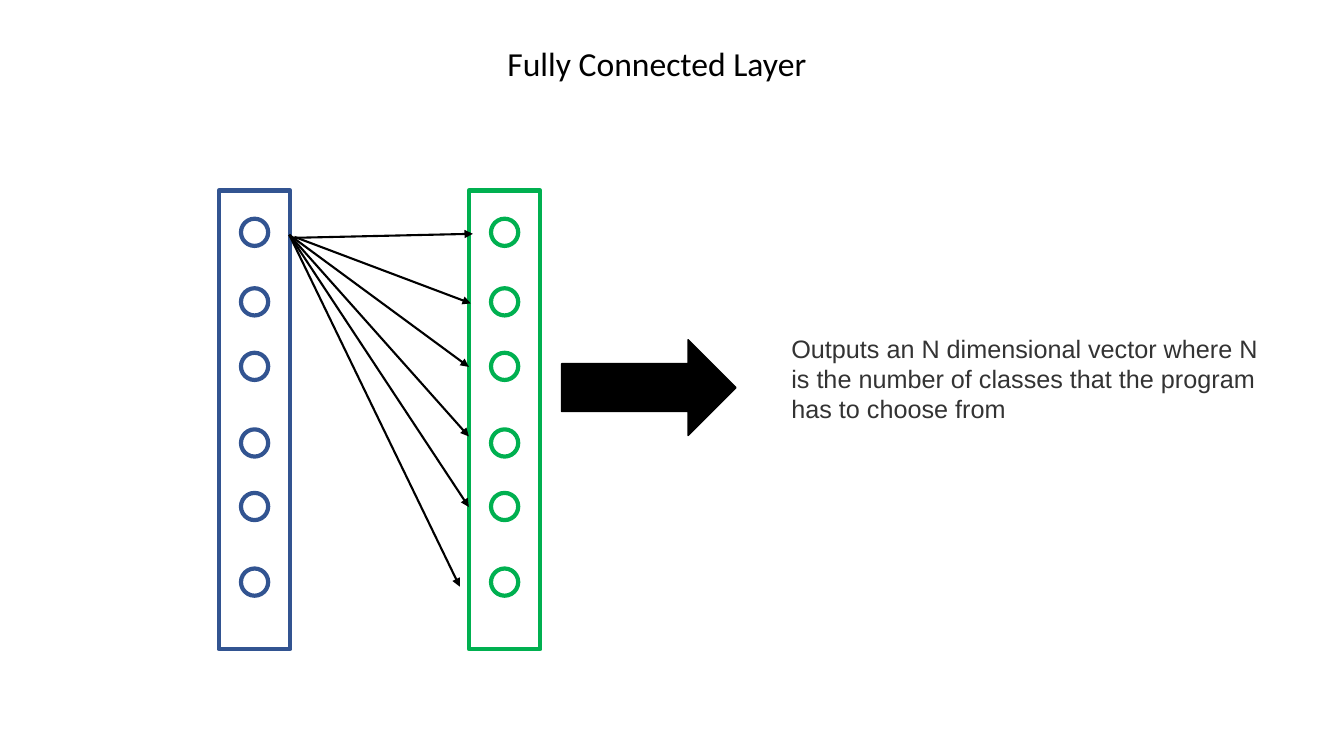
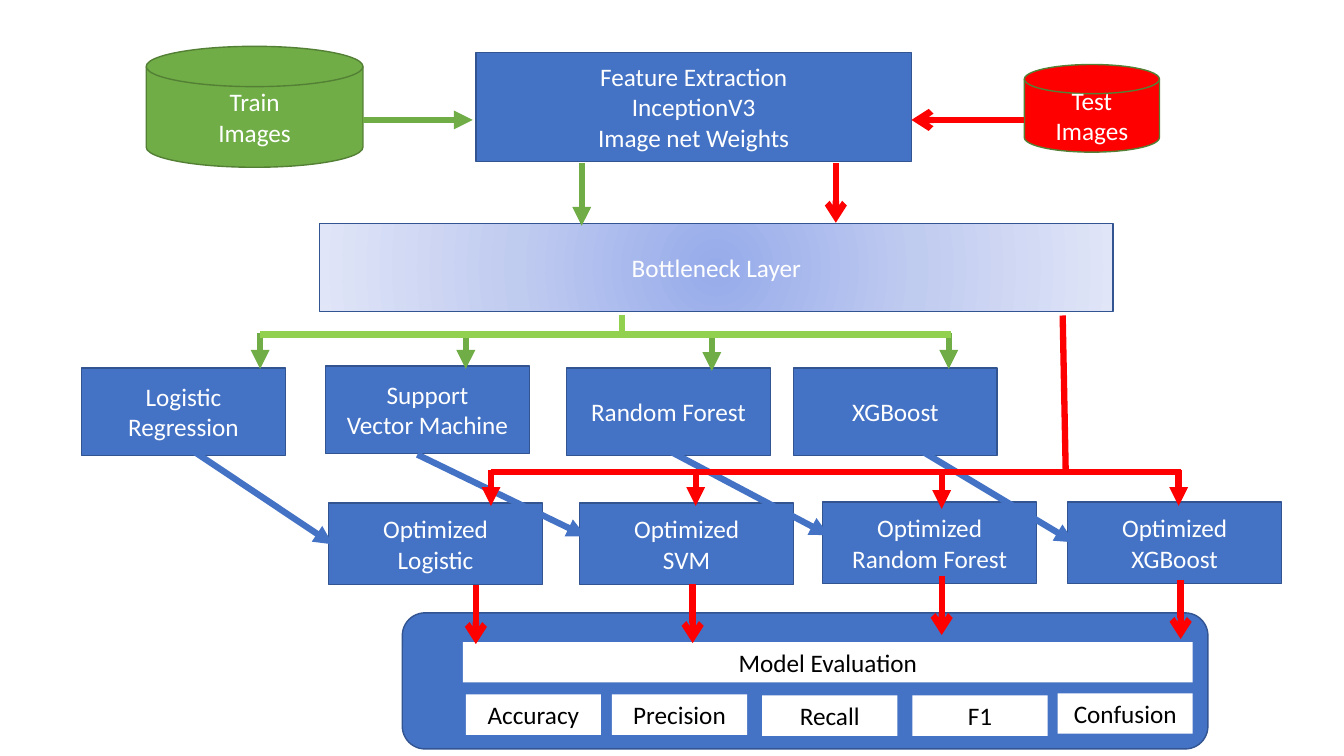
from lxml import etree
from pptx import Presentation
from pptx.dml.color import RGBColor
from pptx.enum.shapes import MSO_CONNECTOR, MSO_SHAPE
from pptx.enum.text import MSO_ANCHOR, PP_ALIGN
from pptx.oxml import parse_xml
from pptx.oxml.ns import nsdecls, qn
from pptx.util import Inches, Pt

BLACK = RGBColor(0x00, 0x00, 0x00)
WHITE = RGBColor(0xFF, 0xFF, 0xFF)
GRAY = RGBColor(0x33, 0x33, 0x33)
BLUE = RGBColor(0x44, 0x72, 0xC4)
DARK_BLUE = RGBColor(0x32, 0x54, 0x91)
GREEN = RGBColor(0x70, 0xAD, 0x47)
DARK_GREEN = RGBColor(0x53, 0x80, 0x35)
LIGHT_GREEN = RGBColor(0x92, 0xD0, 0x50)
LAYER_GREEN = RGBColor(0x00, 0xB0, 0x50)
RED = RGBColor(0xFF, 0x00, 0x00)


def add_box(page, frame, lines=(), kind=MSO_SHAPE.RECTANGLE, fill=BLUE, outline=DARK_BLUE,
            width=1, color=WHITE, size=18, font="Calibri", align=PP_ALIGN.CENTER):
    box = page.shapes.add_shape(kind, *[Inches(value) for value in frame])
    box.shadow.inherit = False
    if fill is None:
        box.fill.background()
    else:
        box.fill.solid()
        box.fill.fore_color.rgb = fill
    if outline is None:
        box.line.fill.background()
    else:
        box.line.color.rgb = outline
        box.line.width = Pt(width)
    box.text_frame.word_wrap = True
    box.text_frame.vertical_anchor = MSO_ANCHOR.MIDDLE
    for index, line in enumerate(lines):
        para = box.text_frame.add_paragraph() if index else box.text_frame.paragraphs[0]
        para.alignment = align
        span = para.add_run()
        span.text = line
        span.font.name = font
        span.font.size = Pt(size)
        span.font.color.rgb = color
    return box


def add_line(page, start, end, color, width=4.5, head=None):
    line = page.shapes.add_connector(
        MSO_CONNECTOR.STRAIGHT, *[Inches(value) for value in (*start, *end)])
    line.line.color.rgb = color
    line.line.width = Pt(width)
    if head:
        etree.SubElement(line.line._get_or_add_ln(), qn("a:tailEnd"), type=head)
    etree.SubElement(line._element.spPr, qn("a:effectLst"))


deck = Presentation()
deck.slide_width = Inches(13.33)
deck.slide_height = Inches(7.5)
blank = deck.slide_layouts[6]

# Slide 1: the two layers with their nodes
page = deck.slides.add_slide(blank)
NODE_TOPS = [2.17, 2.86, 3.5, 4.26, 4.89, 5.64]
for left, color in [(2.17, DARK_BLUE), (4.65, LAYER_GREEN)]:
    add_box(page, (left, 1.89, 0.71, 4.55), fill=WHITE, outline=color, width=3)
    for top in NODE_TOPS:
        add_box(page, (left + 0.22, top, 0.27, 0.27), kind=MSO_SHAPE.OVAL,
                fill=None, outline=color, width=3)

# Links from the first node to every node of the second layer
for start, end in [((2.87, 2.33), (4.56, 5.82)), ((2.87, 2.33), (4.65, 5.03)),
                   ((2.87, 2.33), (4.65, 4.33)), ((2.87, 2.33), (4.65, 3.64)),
                   ((2.92, 2.35), (4.67, 3.01)), ((2.9, 2.36), (4.69, 2.32))]:
    add_line(page, start, end, BLACK, 1.5, "triangle")

# Title, explanation and block arrow
add_box(page, (4.92, 0.38, 3.19, 0.5), ["Fully Connected Layer"], fill=WHITE, outline=None,
        color=BLACK, size=24)
add_box(page, (7.75, 3.25, 4.85, 1.01),
        ["Outputs an N dimensional vector where N is the number of classes "
         "that the program has to choose from"],
        fill=WHITE, outline=None, color=GRAY, font="Arial", align=PP_ALIGN.LEFT)
add_box(page, (5.57, 3.37, 1.73, 0.95), kind=MSO_SHAPE.RIGHT_ARROW, fill=BLACK, outline=BLACK)

# Slide 2: image sets and feature extraction
page = deck.slides.add_slide(blank)
add_box(page, (4.72, 0.52, 4.32, 1.08),
        ["Feature Extraction", "InceptionV3", "Image net Weights"])
for frame, name, color in [((1.45, 0.46, 2.15, 1.2), "Train", GREEN),
                           ((10.16, 0.64, 1.34, 0.87), "Test", RED)]:
    add_box(page, frame, [name, "Images"], kind=MSO_SHAPE.FLOWCHART_MAGNETIC_DISK,
            fill=color, outline=DARK_GREEN)

# Bottleneck layer with a radial gradient
bottleneck = add_box(page, (3.17, 2.22, 7.87, 0.87), ["Bottleneck Layer"])
stops = "".join(
    f'<a:gs pos="{position}000"><a:srgbClr val="{color}"/></a:gs>'
    for position, color in [(0, "96ABEA"), (50, "C0CBF0"), (100, "E0E5F7")])
gradient = parse_xml(
    f'<a:gradFill {nsdecls("a")} rotWithShape="1"><a:gsLst>{stops}</a:gsLst>'
    '<a:path path="circle"><a:fillToRect l="50000" t="50000" r="50000" b="50000"/></a:path>'
    '</a:gradFill>')
properties = bottleneck._element.spPr
properties.replace(properties.find(qn("a:solidFill")), gradient)

# Classifiers and their optimized versions
for left, top, lines in [(0.81, 3.65, ["Logistic", "Regression"]),
                         (3.23, 3.63, ["Support", "Vector Machine"]),
                         (5.62, 3.65, ["Random Forest"]),
                         (7.87, 3.65, ["XGBoost"])]:
    add_box(page, (left, top, 2.02, 0.87), lines)
for left, top, name in [(3.26, 4.99, "Logistic"), (5.75, 4.99, "SVM"),
                        (8.16, 4.98, "Random Forest"), (10.59, 4.98, "XGBoost")]:
    add_box(page, (left, top, 2.12, 0.81), ["Optimized", name])

# Arrows into and out of feature extraction
add_line(page, (3.6, 1.19), (4.69, 1.19), GREEN, head="triangle")
add_line(page, (10.16, 1.19), (9.04, 1.19), RED, head="arrow")
add_line(page, (5.77, 1.62), (5.77, 2.24), GREEN, head="triangle")
add_line(page, (8.29, 1.62), (8.29, 2.21), RED, head="arrow")

# Green branch to the classifiers
for x, top in [(2.58, 3.3), (4.62, 3.3), (7.06, 3.32), (9.41, 3.3)]:
    add_line(page, (x, top), (x, top + 0.36), GREEN, head="triangle")
add_line(page, (2.58, 3.32), (9.43, 3.32), LIGHT_GREEN)
add_line(page, (6.17, 3.13), (6.17, 3.32), LIGHT_GREEN)

# Each classifier leads to its optimized version
for start, end in [((1.88, 4.45), (3.3, 5.4)), ((4.14, 4.51), (5.81, 5.32)),
                   ((6.65, 4.48), (8.22, 5.31)), ((9.05, 4.42), (10.65, 5.38))]:
    add_line(page, start, end, BLUE, head="triangle")

# Red branch to the optimized versions
for x, top in [(4.87, 4.66), (6.9, 4.66), (9.34, 4.69), (11.69, 4.66)]:
    add_line(page, (x, top), (x, top + 0.36), RED, head="triangle")
add_line(page, (4.87, 4.68), (11.71, 4.68), RED)
add_line(page, (10.54, 3.13), (10.57, 4.67), RED)

# Model evaluation panel and its measures
add_box(page, (3.99, 6.08, 7.99, 1.35), kind=MSO_SHAPE.ROUNDED_RECTANGLE)
for left, top, width, name in [(4.59, 6.37, 7.24, "Model Evaluation"),
                               (4.62, 6.89, 1.34, "Accuracy"),
                               (6.07, 6.89, 1.34, "Precision"),
                               (7.56, 6.9, 1.34, "Recall"),
                               (9.05, 6.9, 1.34, "F1"),
                               (10.49, 6.88, 1.34, "Confusion")]:
    add_box(page, (left, top, width, 0.4), [name], fill=WHITE, outline=None, color=BLACK)

# Arrows into the evaluation panel
for x, top in [(4.72, 5.8), (6.87, 5.79), (9.34, 5.71), (11.71, 5.75)]:
    add_line(page, (x, top), (x, top + 0.59), RED, head="arrow")

deck.save("out.pptx")
